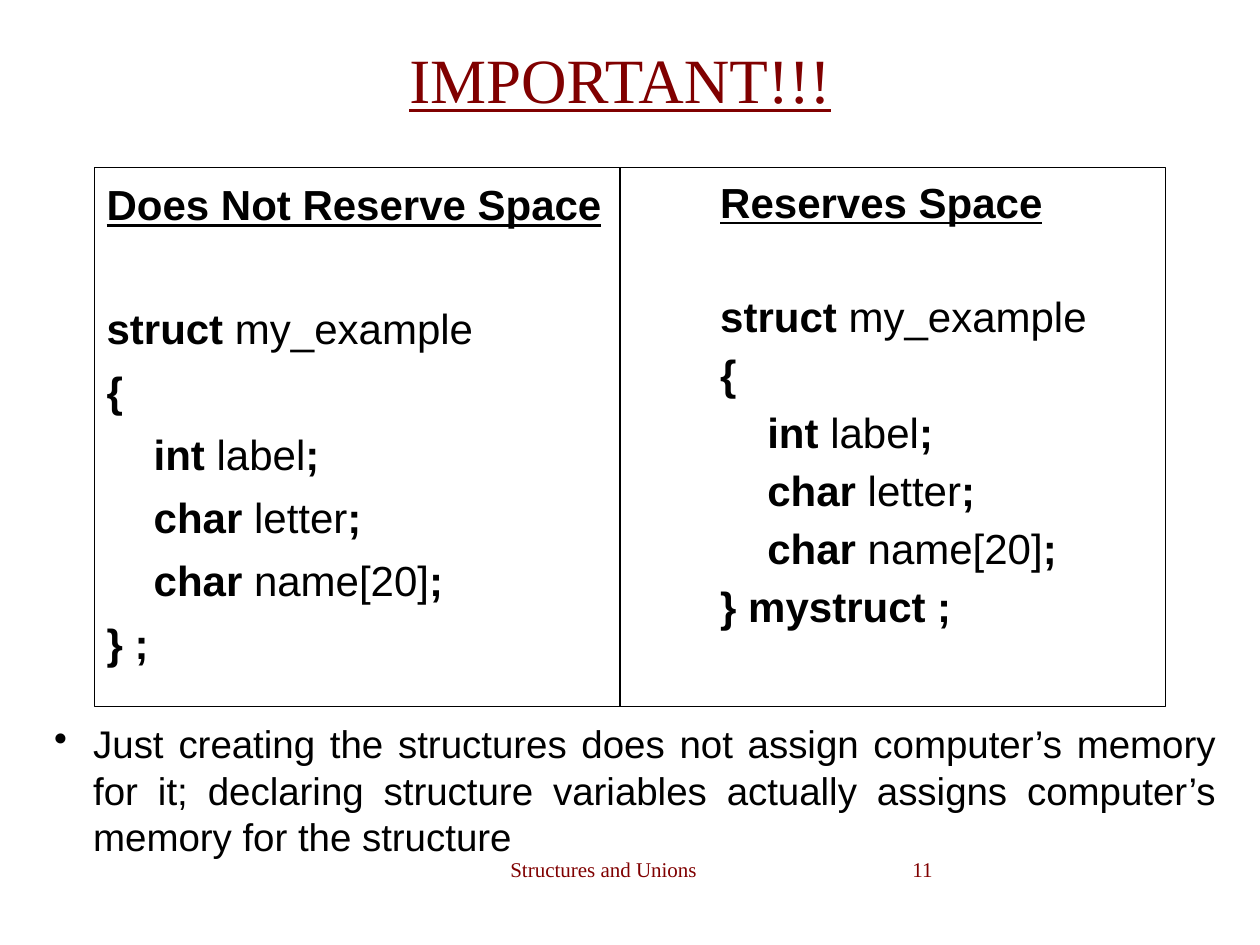
from lxml.etree import SubElement
from pptx import Presentation
from pptx.dml.color import RGBColor
from pptx.enum.shapes import MSO_CONNECTOR, MSO_SHAPE
from pptx.enum.text import MSO_ANCHOR, PP_ALIGN
from pptx.oxml.ns import qn
from pptx.util import Cm, Pt

BLACK, MAROON = "000000", "800000"
SERIF, SANS = "Times New Roman", "Arial"

FRAME_LEFT, FRAME_TOP, FRAME_WIDTH, FRAME_HEIGHT = 1.9, 3.38, 21.6, 10.87
DIVIDER_X = 12.5
CODE_INDENT = 0.95
LINE_GAP = 7.2


def color(hex_text):
    return RGBColor.from_string(hex_text)


def set_indent(paragraph, margin, first_line=0):
    properties = paragraph._p.get_or_add_pPr()
    properties.set("marL", str(Cm(margin)))
    properties.set("indent", str(Cm(first_line)))
    return properties


class SlideBuilder:
    def __init__(self, presentation):
        self.slide = presentation.slides.add_slide(presentation.slide_layouts[5])

    def format(self, paragraph, size, font=SANS, hue=BLACK, align=PP_ALIGN.LEFT):
        paragraph.alignment = align
        paragraph.font.size = Pt(size)
        paragraph.font.name = font
        paragraph.font.color.rgb = color(hue)

    def title(self, text, left, top, width, height):
        heading = self.slide.shapes.title
        heading.left, heading.top = Cm(left), Cm(top)
        heading.width, heading.height = Cm(width), Cm(height)
        heading.text_frame.text = text
        heading.text_frame.vertical_anchor = MSO_ANCHOR.MIDDLE
        paragraph = heading.text_frame.paragraphs[0]
        self.format(paragraph, 36, SERIF, MAROON, PP_ALIGN.CENTER)
        paragraph.font.underline = True

    def frame(self, left, top, width, height):
        """Add an empty wrapping text box and return its text frame."""
        box = self.slide.shapes.add_textbox(Cm(left), Cm(top), Cm(width), Cm(height))
        box.text_frame.word_wrap = True
        return box.text_frame

    def footer(self, text, left, width, align):
        paragraph = self.frame(left, 17.15, width, 1.1).paragraphs[0]
        paragraph.text = text
        self.format(paragraph, 12, SERIF, MAROON, align)

    def code(self, heading, lines, left, top, width, spacing):
        """Add a heading and code lines, each (indent level, [(text, bold), ...])."""
        text_frame = self.frame(left, top, width, 10.5)
        paragraph = text_frame.paragraphs[0]
        paragraph.text = heading
        paragraph.line_spacing = spacing
        self.format(paragraph, 24)
        paragraph.font.bold = paragraph.font.underline = True
        for number, (level, parts) in enumerate(lines):
            paragraph = text_frame.add_paragraph()
            set_indent(paragraph, level * CODE_INDENT)
            paragraph.line_spacing = spacing
            skipped_line = 0 if number else LINE_GAP + 27.6 * spacing
            paragraph.space_before = Pt(round(LINE_GAP + skipped_line, 1))
            self.format(paragraph, 24)
            for text, bold in parts:
                run = paragraph.add_run()
                run.text = text
                run.font.bold = bold

    def bullet(self, text, left, top, width, height):
        paragraph = self.frame(left, top, width, height).paragraphs[0]
        paragraph.text = text
        properties = set_indent(paragraph, 0.79, -0.79)
        SubElement(properties, qn("a:buChar"), char="•")
        self.format(paragraph, 22, align=PP_ALIGN.JUSTIFY)

    def outline(self, left, top, width, height):
        border = self.slide.shapes.add_shape(
            MSO_SHAPE.RECTANGLE, Cm(left), Cm(top), Cm(width), Cm(height))
        border.shadow.inherit = False
        border.fill.background()
        border.line.color.rgb = color(BLACK)
        border.line.width = Pt(0.75)

    def vertical_line(self, x, top, bottom):
        divider = self.slide.shapes.add_connector(
            MSO_CONNECTOR.STRAIGHT, Cm(x), Cm(top), Cm(x), Cm(bottom))
        divider.line.color.rgb = color(BLACK)
        divider.line.width = Pt(0.75)
        SubElement(divider._element.spPr, qn("a:effectLst"))


def struct_lines(closing):
    fields = [("int", " label"), ("char", " letter"), ("char", " name[20]")]
    return [
        (0, [("struct", True), (" my_example", False)]),
        (0, [("{", True)]),
        *[(1, [(kind, True), (name, False), (";", True)]) for kind, name in fields],
        (0, [(closing, True)]),
    ]


def main():
    presentation = Presentation()
    presentation.slide_width, presentation.slide_height = Cm(25.4), Cm(19.05)
    builder = SlideBuilder(presentation)
    builder.title("IMPORTANT!!!", 1.7, 0.2, 21.6, 2.75)
    builder.footer("Structures and Unions", 9.73, 4.88, PP_ALIGN.CENTER)
    builder.footer("11", 16.94, 2.11, PP_ALIGN.RIGHT)
    builder.code("Reserves Space", struct_lines("} mystruct ;"), 14.27, 3.55, 9.22, 0.9)
    builder.code("Does Not Reserve Space", struct_lines("} ;"),
                 FRAME_LEFT, 3.48, 11.18, 1.0)
    builder.outline(FRAME_LEFT, FRAME_TOP, FRAME_WIDTH, FRAME_HEIGHT)
    builder.vertical_line(DIVIDER_X, FRAME_TOP, FRAME_TOP + FRAME_HEIGHT)
    builder.bullet("Just creating the structures does not assign computer’s memory for it; "
                   "declaring structure variables actually assigns computer’s memory "
                   "for the structure", 0.84, 14.4, 23.93, 3.05)
    presentation.save("out.pptx")


if __name__ == "__main__":
    main()
